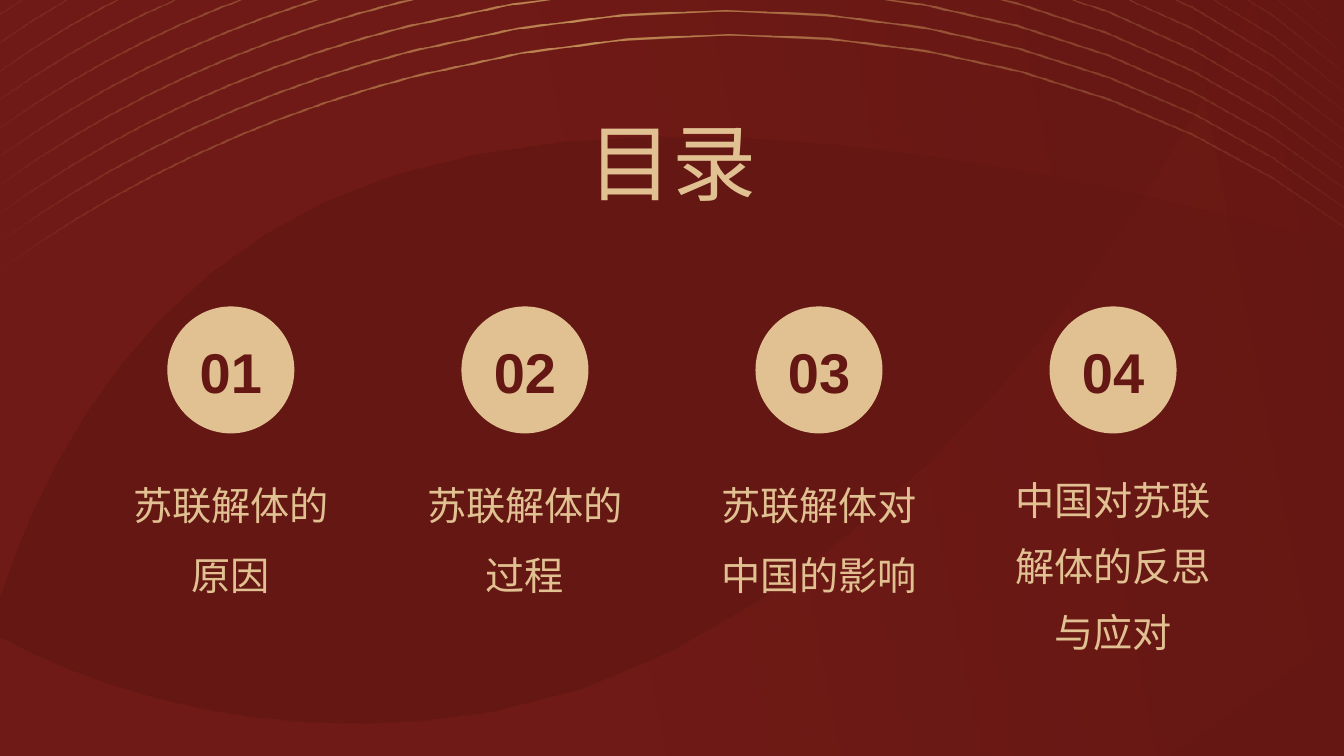
from lxml import etree
from pptx import Presentation
from pptx.dml.color import RGBColor
from pptx.enum.shapes import MSO_SHAPE
from pptx.enum.text import MSO_ANCHOR, MSO_AUTO_SIZE, PP_ALIGN
from pptx.oxml import parse_xml
from pptx.oxml.ns import nsdecls, qn
from pptx.util import Inches, Pt

W, H = 13.33, 7.5
DARK, GOLD, RED, LINE = "641713", "E1C091", "D63A32", "D6A765"
TOPICS = [("苏联解体的原因", 1.5), ("苏联解体的过程", 1.5),
          ("苏联解体对中国的影响", 1.5), ("中国对苏联解体的反思与应对", 1.4)]


def rgb(color):
    return RGBColor.from_string(color)


def curve(points, steps=10):
    """Sample a chain of cubic curves: a start, then three points per curve."""
    path = [points[0]]
    for i in range(0, len(points) - 1, 3):
        a, b, c, d = points[i:i + 4]
        for n in range(1, steps + 1):
            t = n / steps
            s = 1 - t
            path.append(tuple(s**3 * p + 3 * s * s * t * q + 3 * s * t * t * u + t**3 * v
                              for p, q, u, v in zip(a, b, c, d)))
    return path


def runs_below_top(path):
    """Split a path where it crosses the top edge and keep the parts on the slide."""
    runs, run = [], [path[0]] if path[0][1] >= 0 else []
    for (x0, y0), (x1, y1) in zip(path, path[1:]):
        if (y0 >= 0) != (y1 >= 0):
            run.append((x0 + (x1 - x0) * y0 / (y0 - y1), 0))
        if y1 >= 0:
            run.append((x1, y1))
        elif run:
            runs.append(run)
            run = []
    return runs + [run] if run else runs


def add_outline(slide, contours, color, stops):
    """Draw closed contours as one shape; stops are (position %, opacity %)."""
    contours = [[(Inches(x), Inches(y)) for x, y in c] for c in contours]
    builder = slide.shapes.build_freeform(*contours[0][0])
    for i, (start, *rest) in enumerate(contours):
        if i:
            builder.move_to(*start)
        builder.add_line_segments(rest, close=True)
    sp = builder.convert_to_shape()
    sp.shadow.inherit = False
    sp.line.fill.background()
    gs = "".join(f'<a:gs pos="{pos * 1000}"><a:srgbClr val="{color}">'
                 f'<a:alpha val="{alpha * 1000}"/></a:srgbClr></a:gs>' for pos, alpha in stops)
    grad = parse_xml(f'<a:gradFill {nsdecls("a")}><a:gsLst>{gs}</a:gsLst>'
                     f'<a:lin ang="{169 * 60000}" scaled="0"/></a:gradFill>')
    sp._element.spPr.find(qn("a:custGeom")).addnext(grad)


def add_backdrop(slide):
    slide.background.fill.solid()
    slide.background.fill.fore_color.rgb = rgb(DARK)
    top = curve([(0, 5.97), (0.43, 4.6), (1.48, 2.5), (3.93, 1.74),
                 (6.5, 0.94), (10, 1.53), (W, 2.45)])
    bottom = curve([(0, 6.31), (1.03, 6.87), (2.75, 7.42), (4.88, 7.06),
                    (7.88, 6.56), (10.92, 3.32), (12.41, 0)])
    corner = [(W, 0), (W, 6.28), (11.61, H), (0, H)]
    add_outline(slide, [top + [(W, 0), (0, 0)]], RED, [(0, 0), (60, 10)])
    add_outline(slide, [bottom + corner], RED, [(0, 0), (60, 10)])


def add_arcs(slide, count=13, half=0.01):
    """Thin arcs, each shifted from the one below and cut at the top edge."""
    lowest = [(W, 2.25), (11.05, 0.51), (7.62, -0.15), (4.14, 0.75),
              (2.57, 1.15), (1.17, 1.82), (0, 2.67)]
    shift = [(0, -0.19), (0, -0.23), (-0.03, -0.24), (-0.06, -0.24),
             (-0.03, -0.25), (-0.01, -0.27), (0, -0.28)]
    ribbons = []
    for k in range(count):
        arc = curve([(x + k * dx, y + k * dy) for (x, y), (dx, dy) in zip(lowest, shift)])
        for run in runs_below_top(arc):
            ribbons.append([(x, max(y - half, 0)) for x, y in run]
                           + [(x, y + half) for x, y in reversed(run)])
    add_outline(slide, ribbons, LINE, [(0, 0), (55, 80), (100, 0)])


def set_text(sp, text, size, font, color, top=0.0, bold=False, anchor=MSO_ANCHOR.TOP):
    tf = sp.text_frame
    tf.text = text
    tf.auto_size = MSO_AUTO_SIZE.NONE
    tf.vertical_anchor = anchor
    tf.margin_left = tf.margin_right = tf.margin_bottom = 0
    tf.margin_top = Inches(top)
    p = tf.paragraphs[0]
    p.alignment = PP_ALIGN.CENTER
    f = p.runs[0].font
    f.name, f.size, f.bold = font, Pt(size), bold
    f.color.rgb = rgb(color)
    etree.SubElement(p.runs[0]._r.rPr, qn("a:ea"), typeface=font)
    return tf


def add_title(slide, x, y, w, h):
    title = slide.shapes.title
    title.left, title.top, title.width, title.height = map(Inches, (x, y, w, h))
    set_text(title, "目录", 60, "Noto Sans CJK SC", GOLD, anchor=MSO_ANCHOR.BOTTOM)
    slide.shapes._spTree.append(title._element)  # in front of the backdrop


def add_topic(slide, number, topic, spacing, x, y, w, disc=1.26):
    sp = slide.shapes.add_shape(MSO_SHAPE.OVAL, Inches(x + (w - disc) / 2), Inches(y),
                                Inches(disc), Inches(disc))
    sp.shadow.inherit = False
    sp.fill.solid()
    sp.fill.fore_color.rgb = rgb(GOLD)
    sp.line.fill.background()
    set_text(sp, f"{number:02}", 40, "Arial", DARK, 0.12, True).word_wrap = False
    box = slide.shapes.add_textbox(Inches(x), Inches(y + 1.5), Inches(w), Inches(2.05))
    tf = set_text(box, topic, 28, "Noto Sans CJK JP", GOLD)
    tf.word_wrap = True
    tf.paragraphs[0].line_spacing = spacing


def add_topics(slide, x, y, w, col=2.18):
    pitch = (w - col) / (len(TOPICS) - 1)
    for i, (topic, spacing) in enumerate(TOPICS):
        add_topic(slide, i + 1, topic, spacing, x + i * pitch, y, col)


def main():
    prs = Presentation()
    prs.slide_width, prs.slide_height = Inches(W), Inches(H)
    slide = prs.slides.add_slide(prs.slide_layouts[5])
    add_backdrop(slide)
    add_arcs(slide)
    add_title(slide, 4.32, 0.71, 4.69, 1.39)
    add_topics(slide, 1.2, 3.04, 10.93)
    prs.save("out.pptx")


if __name__ == "__main__":
    main()
